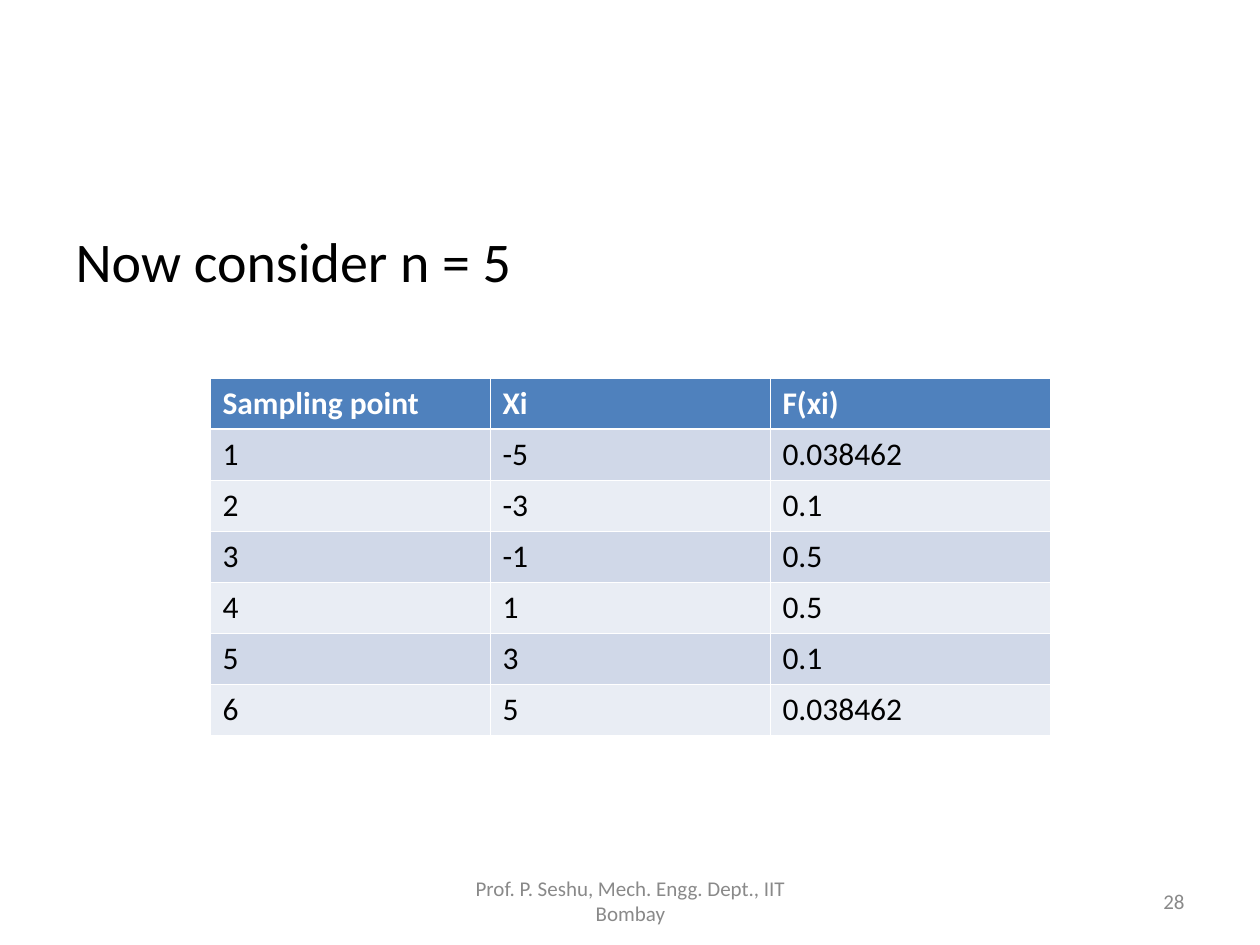
from lxml.etree import SubElement
from pptx import Presentation
from pptx.dml.color import RGBColor
from pptx.enum.text import MSO_ANCHOR as Anchor, PP_ALIGN as Align
from pptx.oxml.ns import qn
from pptx.util import Emu, Pt

EMU_PER_PX = 914400 / 126
WHITE = RGBColor(0xFF, 0xFF, 0xFF)
BLACK = RGBColor(0x00, 0x00, 0x00)
GRAY = RGBColor(0x89, 0x89, 0x89)
HEADER_BLUE = RGBColor(0x4F, 0x81, 0xBD)
BANDS = (RGBColor(0xE9, 0xED, 0xF4), RGBColor(0xD0, 0xD8, 0xE8))
THIN, THICK = Pt(0.45), Pt(1.47)
ROW_HEIGHT = 51
SAMPLES = [
    ("Sampling point", "Xi", "F(xi)"),
    ("1", "-5", "0.038462"),
    ("2", "-3", "0.1"),
    ("3", "-1", "0.5"),
    ("4", "1", "0.5"),
    ("5", "3", "0.1"),
    ("6", "5", "0.038462"),
]


def px(length):
    """Turn a length in px into EMU."""
    return Emu(round(length * EMU_PER_PX))


def write_text(frame, text, size, color, bold=False, align=Align.LEFT):
    """Write one formatted paragraph into a text frame."""
    para = frame.paragraphs[0]
    para.alignment = align
    span = para.add_run()
    span.text = text
    span.font.color.rgb = color
    for name, value in {"name": "Calibri", "size": Pt(size), "bold": bold}.items():
        setattr(span.font, name, value)


def fill_body(page, text, bounds):
    """Place the body placeholder and write its unbulleted line."""
    body = page.placeholders[1]
    for name, value in zip(("left", "top", "width", "height"), bounds):
        setattr(body, name, px(value))
    para = body.text_frame.paragraphs[0]
    para.space_before = Pt(0)
    properties = para._p.get_or_add_pPr()
    properties.set("marL", str(px(48)))
    properties.set("indent", str(-px(48)))
    SubElement(properties, qn("a:buNone"))
    write_text(body.text_frame, text, 32, BLACK)


def add_footer(page, text, bounds, align):
    """Add a small gray footer text box."""
    frame = page.shapes.add_textbox(*map(px, bounds)).text_frame
    frame.word_wrap = True
    frame.vertical_anchor = Anchor.MIDDLE
    write_text(frame, text, 12, GRAY, align=align)


def set_borders(cell, widths):
    """Draw white cell borders with a width for each side."""
    properties = cell._tc.get_or_add_tcPr()
    for side, width in widths.items():
        line = SubElement(properties, qn(f"a:ln{side}"), w=str(width))
        solid = SubElement(line, qn("a:solidFill"))
        SubElement(solid, qn("a:srgbClr"), val=str(WHITE))


def add_sample_table(page, rows, left, top, width):
    """Add the banded table of sampling points."""
    bounds = map(px, (left, top, width, ROW_HEIGHT * len(rows)))
    table = page.shapes.add_table(len(rows), len(rows[0]), *bounds).table
    for row, values in enumerate(rows):
        header = row == 0
        for column, value in enumerate(values):
            cell = table.cell(row, column)
            set_borders(cell, {
                "L": THIN,
                "R": THIN,
                "T": THICK if row == 1 else THIN,
                "B": THICK if header else THIN,
            })
            cell.fill.solid()
            cell.fill.fore_color.rgb = HEADER_BLUE if header else BANDS[row % 2]
            write_text(cell.text_frame, value, 18, WHITE if header else BLACK, header)


def main():
    """Build the slide and save the deck."""
    deck = Presentation()
    deck.slide_width, deck.slide_height = px(1260), px(945)
    page = deck.slides.add_slide(deck.slide_layouts[1])
    title = page.shapes.title.element
    title.getparent().remove(title)
    add_footer(page, "Prof. P. Seshu, Mech. Engg. Dept., IIT Bombay",
               (431, 876, 399, 50), Align.CENTER)
    add_footer(page, "28", (903, 876, 294, 50), Align.RIGHT)
    fill_body(page, "Now consider n = 5", (63, 220, 1134, 624))
    add_sample_table(page, SAMPLES, 210, 378, 840)
    deck.save("out.pptx")


if __name__ == "__main__":
    main()
